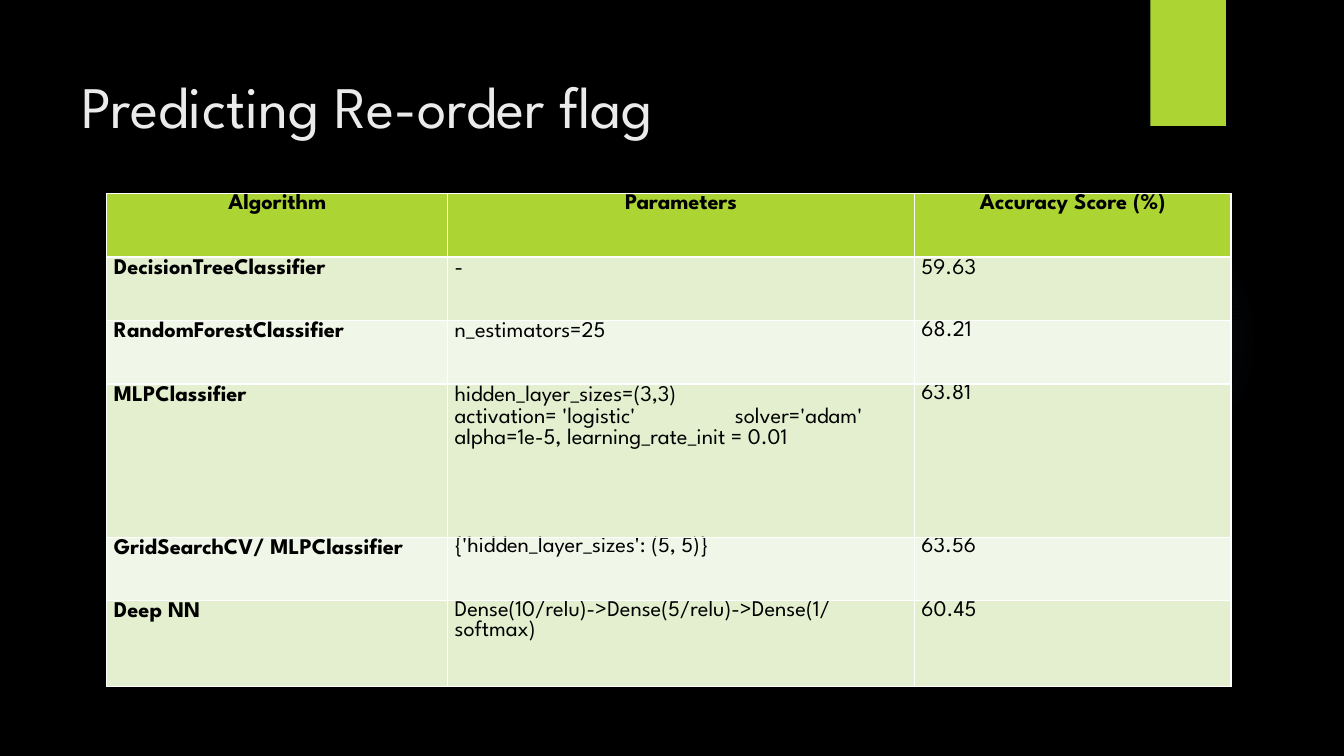
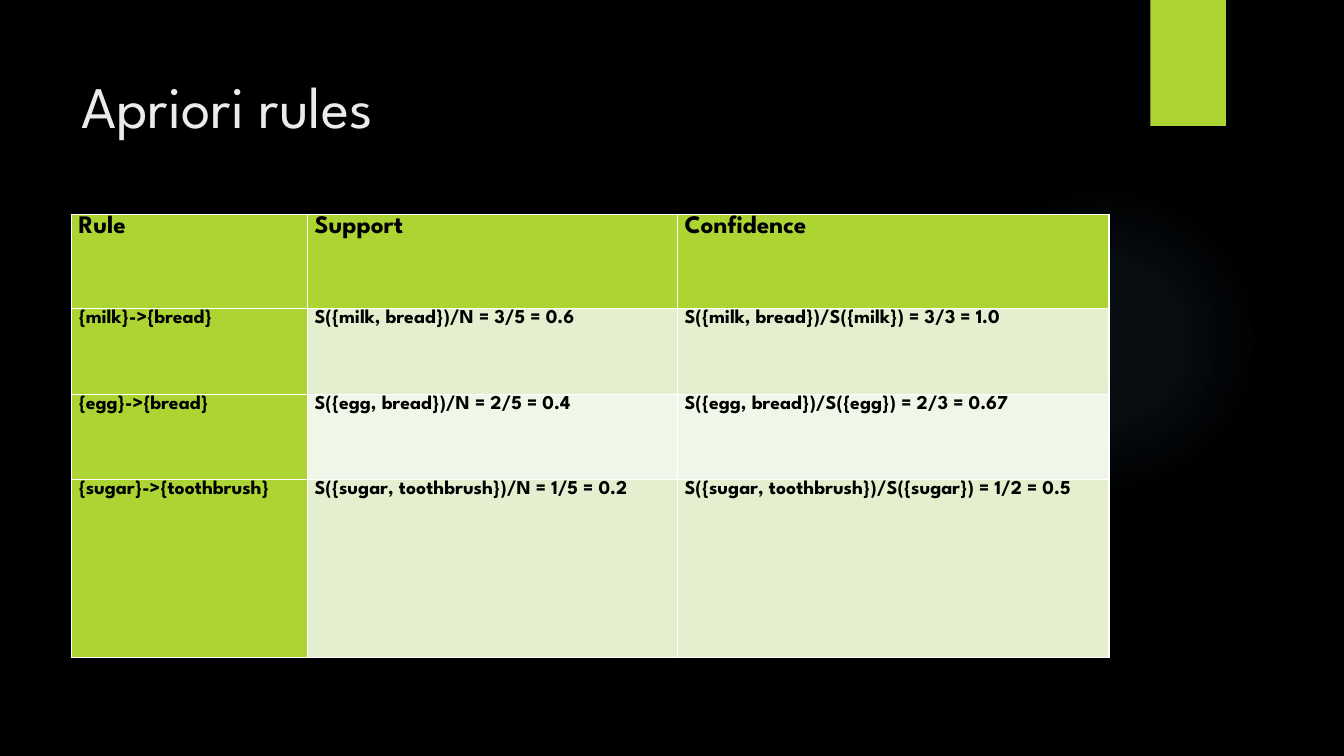
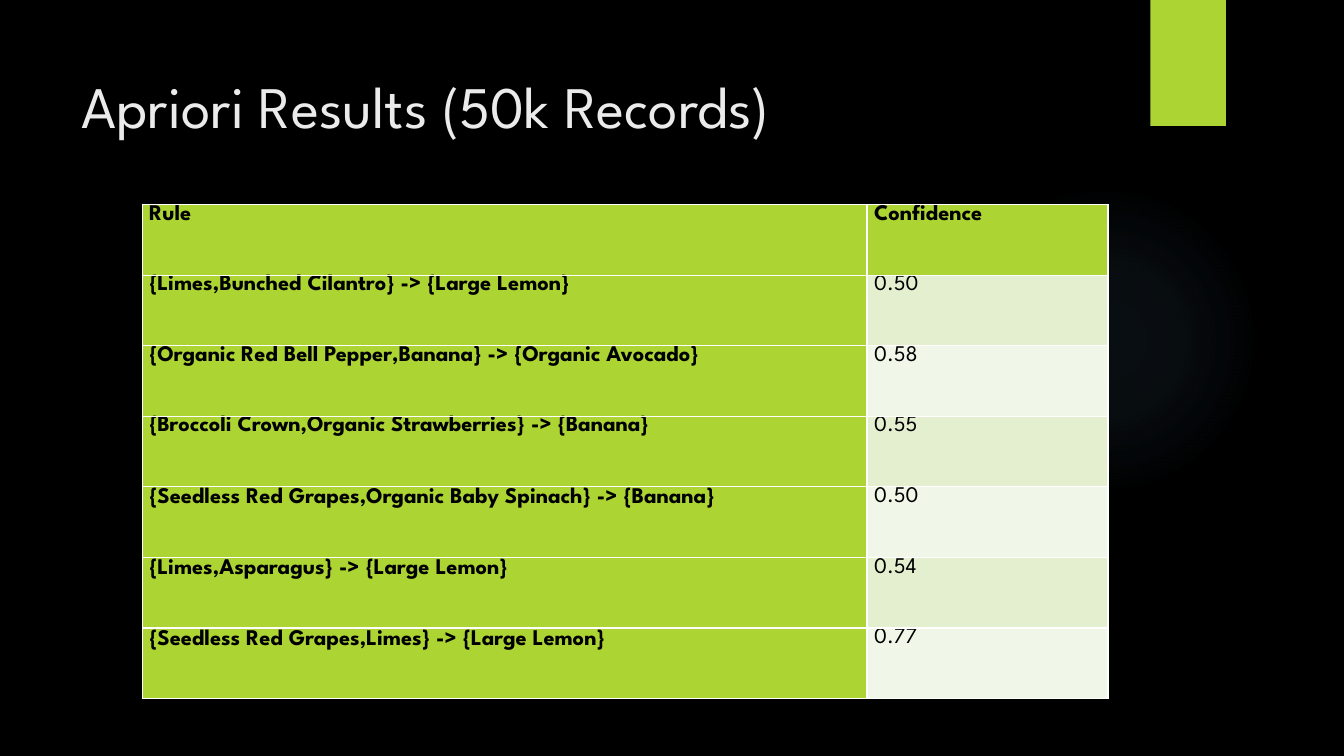
"""Build three slides of model scores and Apriori rules."""
from pptx import Presentation
from pptx.dml.color import RGBColor
from pptx.enum.shapes import MSO_SHAPE
from pptx.enum.text import MSO_ANCHOR, PP_ALIGN
from pptx.oxml import parse_xml
from pptx.oxml.ns import nsdecls, qn
from pptx.util import Inches, Pt

FONT = "League Spartan"
BLACK = RGBColor(0, 0, 0)
LIME = RGBColor(0xAC, 0xD4, 0x33)
PALE = RGBColor(0xE3, 0xEF, 0xCE)
MIST = RGBColor(0xF1, 0xF7, 0xE8)
SMOKE = RGBColor(0xEB, 0xEB, 0xEB)
GLOW = RGBColor(0x7A, 0xC4, 0xF0)
STOPS = [(0, 7), (36, 6), (69, 0)]
TAB = Inches(2.78)

SLIDES = [
    {
        "title": "Predicting Re-order flag",
        "at": (1.06, 1.92),
        "cols": [3.38, 4.63, 3.14],
        "rows": [0.63, 0.63, 0.63, 1.52, 0.63, 0.85],
        "sizes": (16, 16),
        "head": PP_ALIGN.CENTER,
        "side": False,
        "bold": 1,
        "loose": [range(1, 6), range(1, 4), range(1, 2)],
        "cells": [
            ("Algorithm", "Parameters", "Accuracy Score (%)"),
            ("DecisionTreeClassifier", "-", "59.63"),
            ("RandomForestClassifier", "n_estimators=25", "68.21"),
            ("MLPClassifier",
             "hidden_layer_sizes=(3,3)\n"
             "activation= 'logistic'\tsolver='adam'\n"
             "alpha=1e-5, learning_rate_init = 0.01", "63.81"),
            ("GridSearchCV/ MLPClassifier",
             "{'hidden_layer_sizes': (5, 5)}", "63.56"),
            ("Deep NN",
             "Dense(10/relu)->Dense(5/relu)->Dense(1/softmax)", "60.45"),
        ],
    },
    {
        "title": "Apriori rules",
        "at": (0.71, 2.13),
        "cols": [2.34, 3.67, 4.28],
        "rows": [0.93, 0.85, 0.85, 1.76],
        "sizes": (18, 14),
        "head": PP_ALIGN.LEFT,
        "side": True,
        "bold": 3,
        "loose": [range(4)] * 3,
        "cells": [
            ("Rule", "Support", "Confidence"),
            ("{milk}->{bread}", "S({milk, bread})/N = 3/5 = 0.6",
             "S({milk, bread})/S({milk}) = 3/3 = 1.0"),
            ("{egg}->{bread}", "S({egg, bread})/N = 2/5 = 0.4",
             "S({egg, bread})/S({egg}) = 2/3 = 0.67"),
            ("{sugar}->{toothbrush}", "S({sugar, toothbrush})/N = 1/5 = 0.2",
             "S({sugar, toothbrush})/S({sugar}) = 1/2 = 0.5"),
        ],
    },
    {
        "title": "Apriori Results (50k Records)",
        "at": (1.41, 2.03),
        "cols": [7.19, 2.39],
        "rows": [0.7] * 7,
        "sizes": (16, 16),
        "head": PP_ALIGN.LEFT,
        "side": True,
        "bold": 1,
        "loose": [range(4, 7), range(0)],
        "cells": [
            ("Rule", "Confidence"),
            ("{Limes,Bunched Cilantro} -> {Large Lemon}", "0.50"),
            ("{Organic Red Bell Pepper,Banana} -> {Organic Avocado}", "0.58"),
            ("{Broccoli Crown,Organic Strawberries} -> {Banana}", "0.55"),
            ("{Seedless Red Grapes,Organic Baby Spinach} -> {Banana}", "0.50"),
            ("{Limes,Asparagus} -> {Large Lemon}", "0.54"),
            ("{Seedless Red Grapes,Limes} -> {Large Lemon}", "0.77"),
        ],
    },
]


def style(para, size, color, bold=False):
    font = para.font
    font.name, font.size, font.bold = FONT, Pt(size), bold
    font.color.rgb = color


def add_shape(slide, kind, *box):
    shape = slide.shapes.add_shape(kind, *map(Inches, box))
    shape.shadow.inherit = False
    shape.line.fill.background()
    return shape


def add_glow(slide):
    glow = add_shape(slide, MSO_SHAPE.OVAL, 9.41, 1.83, 3.08, 3.08)
    glow.fill.background()
    stops = "".join(
        f'<a:gs pos="{pos * 1000}"><a:srgbClr val="{GLOW}">'
        f'<a:alpha val="{alpha * 1000}"/></a:srgbClr></a:gs>'
        for pos, alpha in STOPS)
    grad = parse_xml(
        f'<a:gradFill {nsdecls("a")}><a:gsLst>{stops}</a:gsLst>'
        '<a:path path="circle"><a:fillToRect l="50000" t="50000" '
        'r="50000" b="50000"/></a:path></a:gradFill>')
    props = glow.element.spPr
    props.replace(props.find(qn("a:noFill")), grad)


def add_title(slide, text):
    title = slide.shapes.title
    title.left, title.top, title.width, title.height = map(
        Inches, (0.71, 0.5, 10.29, 1.53))
    frame = title.text_frame
    frame.text = text
    frame.word_wrap = True
    frame.vertical_anchor = MSO_ANCHOR.TOP
    frame.margin_top = Inches(0.19)
    para = frame.paragraphs[0]
    para.alignment = PP_ALIGN.LEFT
    style(para, 42, SMOKE)


def set_tab(para):
    props = para._p.get_or_add_pPr()
    tabs = parse_xml(f'<a:tabLst {nsdecls("a")}>'
                     f'<a:tab pos="{TAB}" algn="l"/></a:tabLst>')
    props.find(qn("a:defRPr")).addprevious(tabs)


def fill_cell(cell, data, row, col):
    cell.margin_left = cell.margin_right = Inches(0.07)
    cell.margin_top = cell.margin_bottom = 0
    lime = row == 0 or (data["side"] and col == 0)
    cell.fill.solid()
    cell.fill.fore_color.rgb = LIME if lime else (MIST, PALE)[row % 2]
    cell.text = data["cells"][row][col]
    for para in cell.text_frame.paragraphs:
        para.alignment = PP_ALIGN.LEFT if row else data["head"]
        if row in data["loose"][col]:
            para.line_spacing = 1.07
        style(para, data["sizes"][min(row, 1)], BLACK,
              row == 0 or col < data["bold"])
        if "\t" in para.text:
            set_tab(para)


def add_grid(slide, data):
    cols, rows = data["cols"], data["rows"]
    box = (*data["at"], sum(cols), sum(rows))
    table = slide.shapes.add_table(
        len(rows), len(cols), *map(Inches, box)).table
    for col, width in enumerate(cols):
        table.columns[col].width = Inches(width)
    for row, height in enumerate(rows):
        table.rows[row].height = Inches(height)
        for col in range(len(cols)):
            fill_cell(table.cell(row, col), data, row, col)


def main():
    deck = Presentation()
    deck.slide_width, deck.slide_height = Inches(13.33), Inches(7.5)
    back = deck.slide_master.background.fill
    back.solid()
    back.fore_color.rgb = BLACK
    for data in SLIDES:
        slide = deck.slides.add_slide(deck.slide_layouts[5])
        add_glow(slide)
        flag = add_shape(slide, MSO_SHAPE.RECTANGLE, 11.41, 0, 0.75, 1.25)
        flag.fill.solid()
        flag.fill.fore_color.rgb = LIME
        add_title(slide, data["title"])
        add_grid(slide, data)
    deck.save("out.pptx")


if __name__ == "__main__":
    main()
